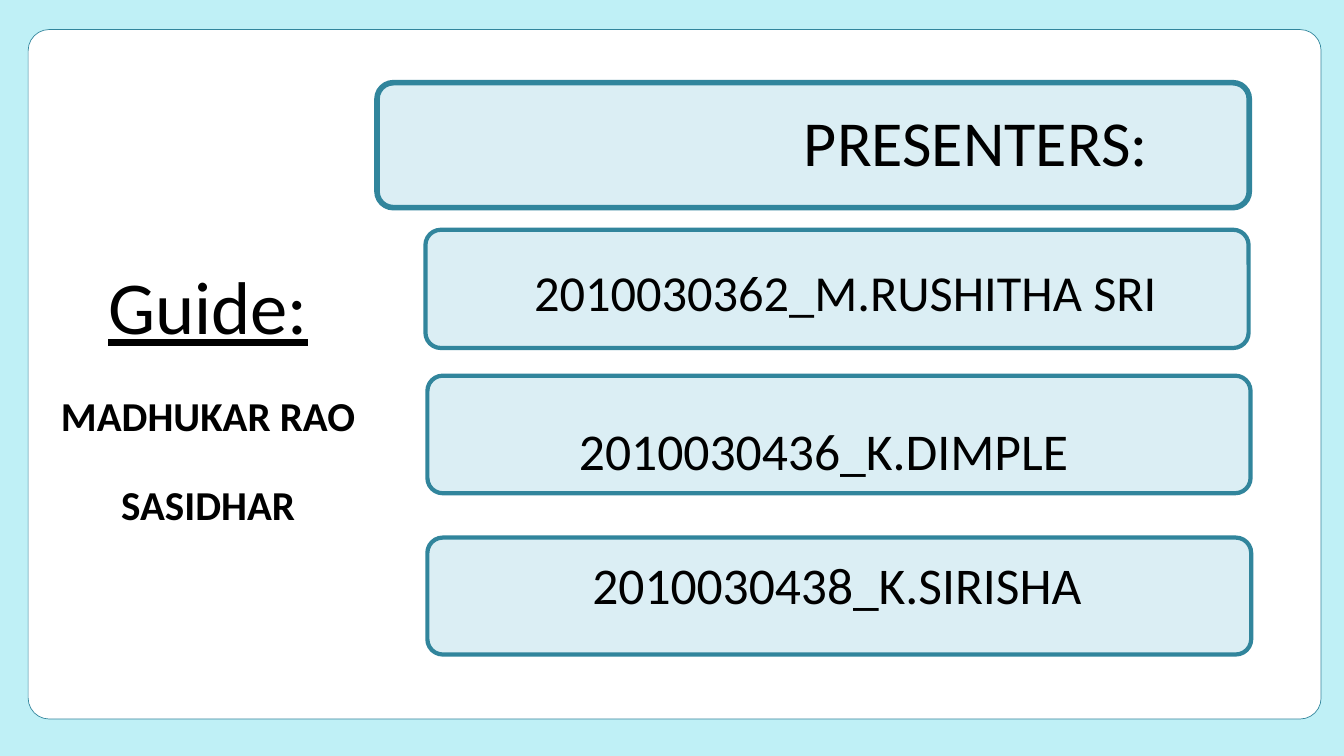
from pptx import Presentation
from pptx.dml.color import RGBColor
from pptx.enum.shapes import MSO_SHAPE
from pptx.enum.text import PP_ALIGN
from pptx.util import Pt

AQUA = RGBColor(0xBF, 0xF0, 0xF6)
WHITE = RGBColor(0xFF, 0xFF, 0xFF)
PALE_BLUE = RGBColor(0xDB, 0xEE, 0xF4)
TEAL = RGBColor(0x31, 0x85, 0x9C)
BLACK = RGBColor(0, 0, 0)

PRESENTERS = [
    ("2010030362_M.RUSHITHA SRI", 54, 58.5,
     (455.8, 246.2, 882, 126.7), (491, 285.8, 830.2, 59.8)),
    ("2010030436_K.DIMPLE", 55.3, 66.3,
     (457.9, 402.5, 882, 126), (534.2, 448.6, 697, 66.2)),
    ("2010030438_K.SIRISHA", 55.2, 66.2,
     (457.9, 576, 882.7, 125.3), (576.7, 592.6, 640.8, 66.2)),
]


def add_box(s, frame, fill, line_width, radius):
    sp = s.shapes.add_shape(MSO_SHAPE.ROUNDED_RECTANGLE, *map(Pt, frame))
    sp.adjustments[0] = radius / frame[3]
    sp.shadow.inherit = False
    sp.fill.solid()
    sp.fill.fore_color.rgb = fill
    sp.line.color.rgb = TEAL
    sp.line.width = Pt(line_width)


def add_text(s, frame):
    tf = s.shapes.add_textbox(*map(Pt, frame)).text_frame
    tf.word_wrap = True
    tf.margin_left = tf.margin_top = tf.margin_right = tf.margin_bottom = 0
    return tf


def write(p, text, size, spacing, bold=False, underline=False):
    p.text = text
    p.alignment = PP_ALIGN.CENTER
    p.line_spacing = Pt(spacing)
    for r in p.runs:
        r.font.name = "Calibri"
        r.font.size = Pt(size)
        r.font.bold = bold
        r.font.underline = underline
        r.font.color.rgb = BLACK


def add_guide(s):
    tf = add_text(s, (30.2, 278.6, 385.9, 278.6))
    write(tf.paragraphs[0], "Guide:", 80, 96, underline=True)
    write(tf.add_paragraph(), "MADHUKAR RAO\vSASIDHAR", 44, 96, bold=True)


def add_presenters(s):
    add_box(s, (403.9, 88.6, 934.6, 133.9), PALE_BLUE, 6, 17.5)
    tf = add_text(s, (753.1, 109.4, 585.4, 82.8))
    write(tf.paragraphs[0], "PRESENTERS:", 68.7, 82.5)
    for name, size, spacing, box, label in PRESENTERS:
        add_box(s, box, PALE_BLUE, 4.5, 16.5)
        write(add_text(s, label).paragraphs[0], name, size, spacing)


def main():
    prs = Presentation()
    prs.slide_width, prs.slide_height = Pt(1440), Pt(810)
    s = prs.slides.add_slide(prs.slide_layouts[6])
    s.background.fill.solid()
    s.background.fill.fore_color.rgb = AQUA
    add_box(s, (30.2, 31.7, 1385.3, 738.7), WHITE, 0.75, 22.5)
    add_guide(s)
    add_presenters(s)
    prs.save("out.pptx")


main()
